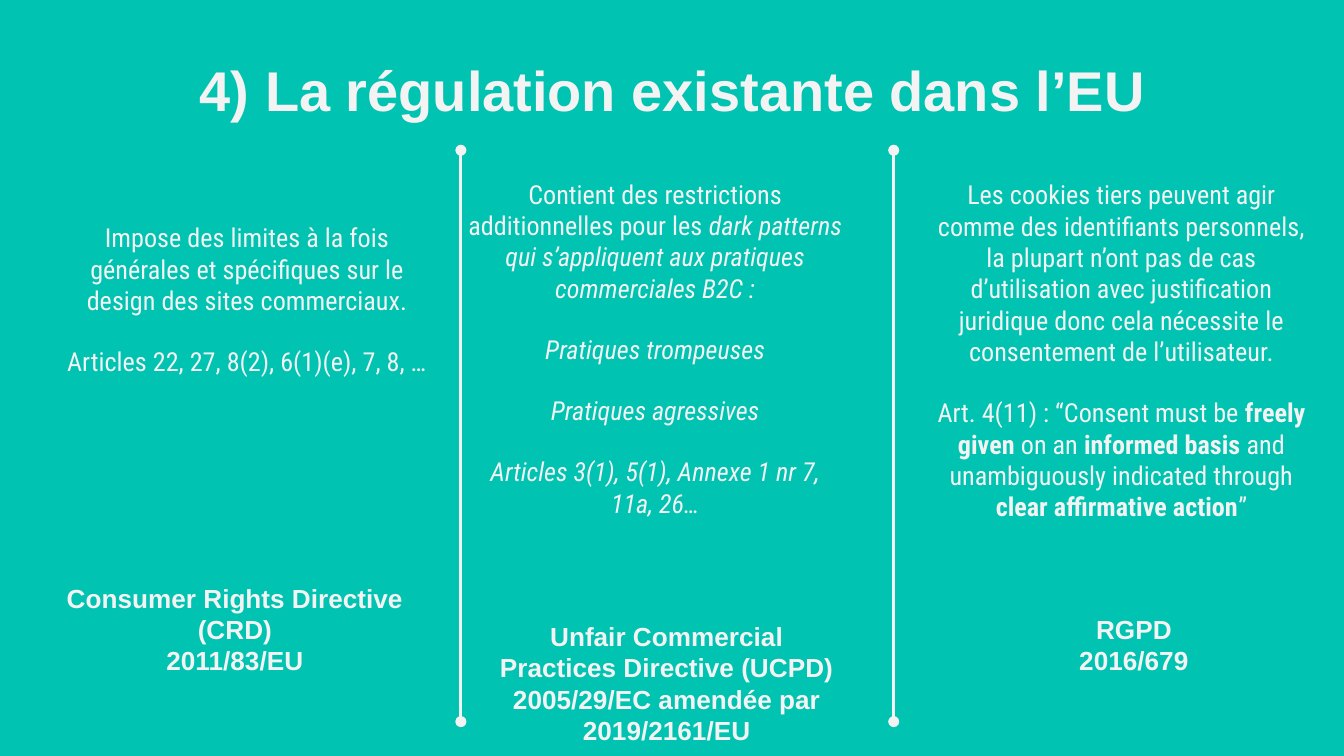
import pptx
import pptx.dml.color
import pptx.enum.shapes
import pptx.enum.text
import pptx.oxml
import pptx.oxml.ns
import pptx.util
from pptx.util import Cm

TEAL = "00C3B1"
PALE = "F3F3F3"
HEADING = {"name": "Arial", "bold": True}
BODY = {"name": "Roboto Condensed"}
ITALIC = {"italic": True}
BOLD = {"bold": True}
LINE_PITCH = 1.2
ANCHOR = pptx.enum.text.MSO_ANCHOR

# Each paragraph is a list of (text, format) runs; "\v" breaks a line.
DIRECTIVES = [
    {
        "name": "Consumer Rights Directive (CRD)\v2011/83/EU",
        "name_box": (0.76, 11.91, 7.21, 1.12),
        "details": [
            [("Impose des limites à la fois générales et spécifiques sur le "
              "design des sites commerciaux.", {})],
            [("Articles 22, 27, 8(2), 6(1)(e), 7, 8, …", {})],
        ],
        "details_box": (0.76, 2.84, 7.82, 4.29),
    },
    {
        "name": "Unfair Commercial Practices Directive (UCPD)\v"
                "2005/29/EC amendée par 2019/2161/EU",
        "name_box": (9.07, 11.58, 6.91, 2.77),
        "details": [
            [("Contient des restrictions additionnelles pour les ", {}),
             ("dark patterns qui s’appliquent aux pratiques commerciales "
              "B2C :", ITALIC)],
            [("Pratiques trompeuses", ITALIC)],
            [("Pratiques agressives", ITALIC)],
            [("Articles 3(1), 5(1), Annexe 1 nr 7, 11a, 26…", ITALIC)],
        ],
        "details_box": (8.59, 2.84, 7.59, 6.96),
    },
    {
        "name": "RGPD\v2016/679",
        "name_box": (18.8, 11.91, 5.11, 1.12),
        "details": [
            [("Les cookies tiers peuvent agir comme des identifiants "
              "personnels, la plupart n’ont pas de cas d’utilisation avec "
              "justification juridique donc cela nécessite le consentement "
              "de l’utilisateur.", {})],
            [("Art. 4(11) : “Consent must be ", {}),
             ("freely given", BOLD),
             (" on an ", {}),
             ("informed basis", BOLD),
             (" and unambiguously indicated through ", {}),
             ("clear affirmative action", BOLD),
             ("”", {})],
        ],
        "details_box": (17.32, 3.3, 7.75, 6.57),
    },
]


def color(hex_value):
    return pptx.dml.color.RGBColor.from_string(hex_value)


def apply_format(target, values):
    for attribute, value in values.items():
        setattr(target, attribute, value)


def add_run(paragraph, text, font_values):
    """Add text to a paragraph, turning each "\\v" into a line break."""
    for index, line in enumerate(text.split("\v")):
        if index:
            paragraph.add_line_break()
        run = paragraph.add_run()
        run.text = line
        apply_format(run.font, font_values)
        run.font.color.rgb = color(PALE)


def add_text(slide, box, paragraphs, font_values, size, margins,
             anchor=ANCHOR.BOTTOM, gap=0):
    """Add centred text; margins are left, top, right and bottom in cm."""
    frame = slide.shapes.add_textbox(*map(Cm, box)).text_frame
    left, top, right, bottom = map(Cm, margins)
    apply_format(frame, {
        "word_wrap": True,
        "vertical_anchor": anchor,
        "margin_left": left,
        "margin_top": top,
        "margin_right": right,
        "margin_bottom": bottom,
    })
    for index, runs in enumerate(paragraphs):
        paragraph = frame.add_paragraph() if index else frame.paragraphs[0]
        apply_format(paragraph, {
            "alignment": pptx.enum.text.PP_ALIGN.CENTER,
            "line_spacing": pptx.util.Pt(size * LINE_PITCH),
            "space_after": pptx.util.Pt(gap),
        })
        for text, extra in runs:
            add_run(paragraph, text,
                    {**font_values, "size": pptx.util.Pt(size), **extra})


def add_divider(slide, x, top, bottom):
    """Add a vertical rule with a round dot at both ends."""
    divider = slide.shapes.add_connector(
        pptx.enum.shapes.MSO_CONNECTOR.STRAIGHT,
        Cm(x), Cm(top), Cm(x), Cm(bottom))
    divider.line.color.rgb = color(PALE)
    divider.line.width = pptx.util.Pt(1.5)
    outline = divider.line._get_or_add_ln()
    for end in ("headEnd", "tailEnd"):
        outline.append(pptx.oxml.parse_xml(
            f'<a:{end} {pptx.oxml.ns.nsdecls("a")} type="oval"/>'))
    divider._element.spPr.append(pptx.oxml.parse_xml(
        f'<a:effectLst {pptx.oxml.ns.nsdecls("a")}/>'))


def main():
    presentation = pptx.Presentation()
    presentation.slide_width = Cm(25.4)
    presentation.slide_height = Cm(14.29)
    slide = presentation.slides.add_slide(presentation.slide_layouts[6])
    slide.background.fill.solid()
    slide.background.fill.fore_color.rgb = color(TEAL)

    add_text(slide, (2.01, 0.81, 21.41, 1.6),
             [[("4) La régulation existante dans l’EU", {})]],
             HEADING, 30, (0.25, 0.25, 0.25, 0.25), ANCHOR.TOP)
    for directive in DIRECTIVES:
        add_text(slide, directive["name_box"], [[(directive["name"], {})]],
                 HEADING, 14, (0.25, 0.25, 0.1, 0.25))
        add_text(slide, directive["details_box"], directive["details"],
                 BODY, 14, (0.25, 0, 0.25, 0), gap=16)
    for x in (8.71, 16.89):
        add_divider(slide, x, 2.84, 13.64)

    presentation.save("out.pptx")


if __name__ == "__main__":
    main()
